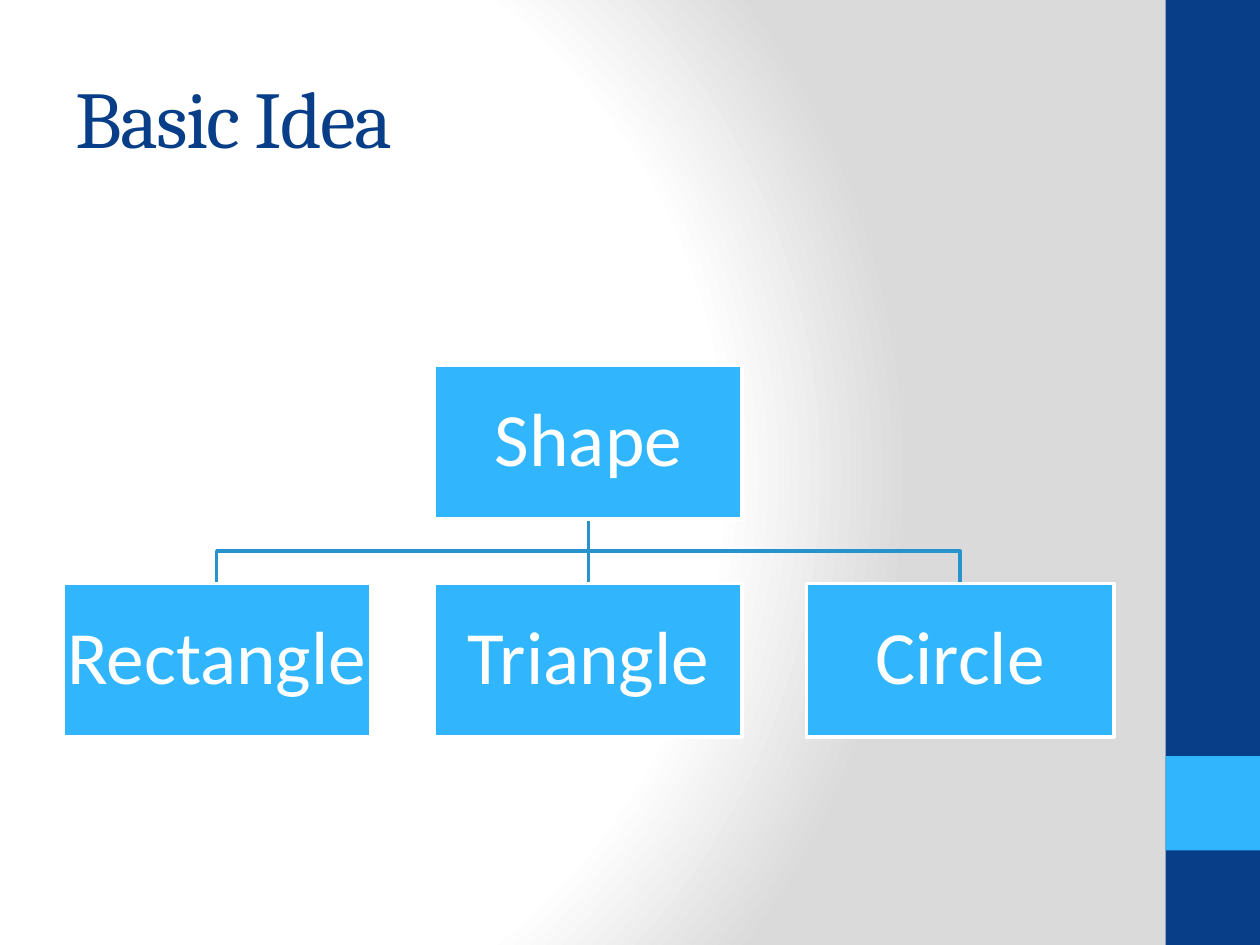
from dataclasses import dataclass

import lxml.etree
import pptx
import pptx.dml.color
import pptx.enum.shapes
import pptx.enum.text
import pptx.oxml.ns
import pptx.util

Inches = pptx.util.Inches
Pt = pptx.util.Pt
qn = pptx.oxml.ns.qn

COLORS = {
    "navy": "073E87",
    "sky": "31B6FD",
    "link": "2792CB",
    "white": "FFFFFF",
    "gray": "DADADA",
}
BOX_W, BOX_H = 2.44, 1.22
LEFT, PITCH = 0.5, 2.95
ROOT_TOP, CHILD_TOP = 2.9, 4.63


@dataclass
class Node:
    """One box of the hierarchy."""
    text: str
    column: int
    top: float

    @property
    def left(self) -> float:
        """Left edge in inches."""
        return LEFT + self.column * PITCH

    @property
    def center(self) -> float:
        """Horizontal centre in inches."""
        return self.left + BOX_W / 2


def rgb(name: str) -> pptx.dml.color.RGBColor:
    """Look up a named colour."""
    return pptx.dml.color.RGBColor.from_string(COLORS[name])


def set_text(tf, text: str, *, size: float, font: str, color: str,
             align: str = "LEFT", inset: float = 0.1, wrap: bool = True,
             line_spacing: float = 1.0, tracking: float = 0) -> None:
    """Write one formatted, vertically centred paragraph."""
    tf.word_wrap = wrap
    tf.auto_size = pptx.enum.text.MSO_AUTO_SIZE.NONE
    tf.vertical_anchor = pptx.enum.text.MSO_ANCHOR.MIDDLE
    tf.margin_left = tf.margin_right = Inches(inset)
    tf.margin_top = tf.margin_bottom = Inches(min(inset, 0.05))
    p = tf.paragraphs[0]
    p.alignment = getattr(pptx.enum.text.PP_ALIGN, align)
    p.line_spacing = line_spacing
    r = p.add_run()
    r.text = text
    r.font.size = Pt(size)
    r.font.name = font
    r.font.color.rgb = rgb(color)
    if tracking:
        r.font._element.set("spc", str(int(tracking * 100)))


def set_background(s) -> None:
    """Fill the slide with a circular white to gray gradient."""
    s.background.fill.gradient()
    grad = s.element.find(".//" + qn("a:gradFill"))
    for child in list(grad):
        grad.remove(child)
    stops = lxml.etree.SubElement(grad, qn("a:gsLst"))
    for pos, color in ((0, "white"), (75, "white"), (100, "gray")):
        gs = lxml.etree.SubElement(stops, qn("a:gs"), pos=str(pos * 1000))
        lxml.etree.SubElement(gs, qn("a:srgbClr"), val=COLORS[color])
    circle = lxml.etree.SubElement(grad, qn("a:path"), path="circle")
    lxml.etree.SubElement(circle, qn("a:fillToRect"),
                          l="20000", t="50000", r="100000", b="50000")


def add_rect(s, left: float, top: float, width: float, height: float,
             fill: str, line: str | None = None):
    """Add a flat rectangle with an optional 2 pt outline."""
    sp = s.shapes.add_shape(pptx.enum.shapes.MSO_SHAPE.RECTANGLE, Inches(left),
                            Inches(top), Inches(width), Inches(height))
    sp.shadow.inherit = False
    sp.fill.solid()
    sp.fill.fore_color.rgb = rgb(fill)
    if line:
        sp.line.color.rgb = rgb(line)
        sp.line.width = Pt(2)
    else:
        sp.line.fill.background()
    return sp


def add_node(s, node: Node) -> None:
    """Draw a labelled hierarchy box."""
    sp = add_rect(s, node.left, node.top, BOX_W, BOX_H, "sky", "white")
    set_text(sp.text_frame, node.text, size=43, font="Calibri", color="white",
             align="CENTER", inset=0.03, wrap=False, line_spacing=0.9)


def add_link(s, parent: Node, child: Node) -> None:
    """Join a parent to a child, with a bend when they are not aligned."""
    x1, y1 = Inches(parent.center), Inches(parent.top + BOX_H)
    x2, y2 = Inches(child.center), Inches(child.top)
    if x1 == x2:
        sp = s.shapes.add_connector(pptx.enum.shapes.MSO_CONNECTOR.STRAIGHT,
                                    x1, y1, x2, y2)
        lxml.etree.SubElement(sp._element.spPr, qn("a:effectLst"))
    else:
        mid = (y1 + y2) // 2
        fb = s.shapes.build_freeform(x1, y1)
        fb.add_line_segments([(x1, mid), (x2, mid), (x2, y2)], close=False)
        sp = fb.convert_to_shape()
        sp.shadow.inherit = False
        sp.fill.background()
    sp.line.color.rgb = rgb("link")
    sp.line.width = Pt(2)


prs = pptx.Presentation()
prs.slide_width, prs.slide_height = Inches(10), Inches(7.5)
s = prs.slides.add_slide(prs.slide_layouts.get_by_name("Title Only"))
set_background(s)

add_rect(s, 9.25, 0, 0.75, 7.5, "navy")
add_rect(s, 9.25, 6, 0.75, 0.75, "sky")

title = s.shapes.title
title.left, title.top = Inches(0.5), Inches(0.3)
title.width, title.height = Inches(8.33), Inches(1.25)
set_text(title.text_frame, "Basic Idea", size=46, font="Cambria",
         color="navy", tracking=-1)

root = Node("Shape", 1, ROOT_TOP)
children = [Node(text, i, CHILD_TOP)
            for i, text in enumerate(("Rectangle", "Triangle", "Circle"))]
for child in reversed(children):
    add_link(s, root, child)
for node in (root, *children):
    add_node(s, node)

prs.save("out.pptx")
